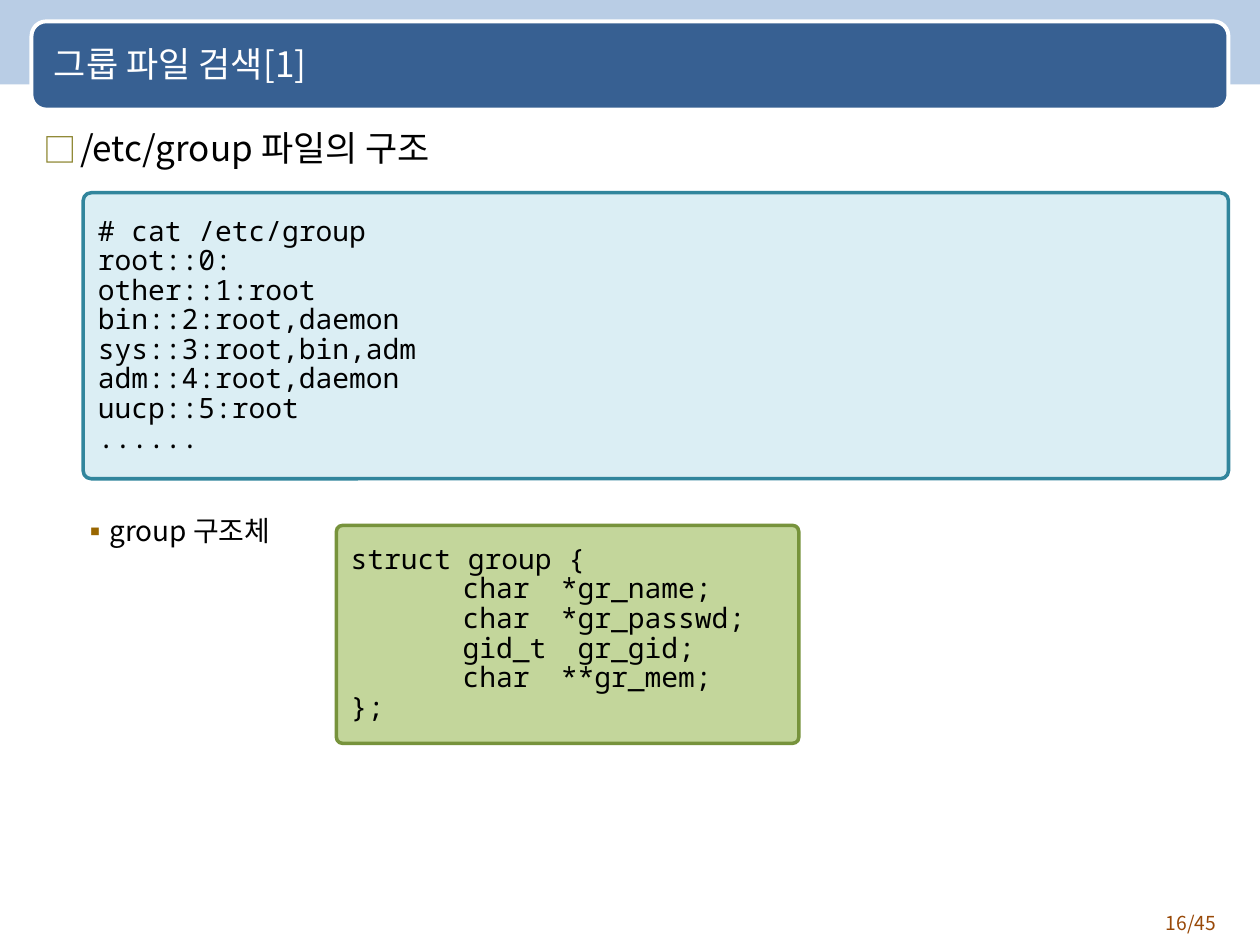
from lxml import etree
from pptx import Presentation
from pptx.dml.color import RGBColor
from pptx.enum.shapes import MSO_SHAPE
from pptx.enum.text import MSO_ANCHOR, PP_ALIGN
from pptx.oxml.ns import qn
from pptx.util import Inches, Pt

RECT, ROUNDED = MSO_SHAPE.RECTANGLE, MSO_SHAPE.ROUNDED_RECTANGLE
TOP, MIDDLE = MSO_ANCHOR.TOP, MSO_ANCHOR.MIDDLE
LEFT, RIGHT, JUSTIFY = PP_ALIGN.LEFT, PP_ALIGN.RIGHT, PP_ALIGN.JUSTIFY

SANS, MONO = "Noto Sans CJK KR", "Noto Sans Mono"
LINE_SPACING = 0.88
COLORS = {
    "white": "FFFFFF", "black": "000000", "band": "B9CDE5", "title": "376092",
    "page": "984807", "square": "888128", "dot": "996600",
    "file_fill": "DBEEF4", "file_line": "31859C",
    "struct_fill": "C3D69B", "struct_line": "77933C",
}

FILE_LINES = [
    "# cat /etc/group", "root::0:", "other::1:root", "bin::2:root,daemon",
    "sys::3:root,bin,adm", "adm::4:root,daemon", "uucp::5:root", "......",
]
STRUCT_LINES = [
    "struct group {", "\tchar\t*gr_name;", "\tchar\t*gr_passwd;",
    "\tgid_t\t gr_gid;", "\tchar\t**gr_mem;", "};",
]


def rgb(name):
    return RGBColor.from_string(COLORS[name])


def add_element(parent, tag, **attributes):
    return etree.SubElement(parent, qn(tag), attributes)


def add_panel(slide, box, kind, fill, line=None, width=0, radius=None):
    panel = slide.shapes.add_shape(kind, *map(Inches, box))
    panel.shadow.inherit = False
    panel.fill.solid()
    panel.fill.fore_color.rgb = rgb(fill)
    if line:
        panel.line.color.rgb = rgb(line)
        panel.line.width = Pt(width)
    else:
        panel.line.fill.background()
    if radius is not None:
        panel.adjustments[0] = radius
    return panel


def write_lines(shape, lines, size, color="black", font=SANS, align=LEFT,
                anchor=TOP, tabs=()):
    frame = shape.text_frame
    frame.word_wrap = True
    frame.vertical_anchor = anchor
    for index, text in enumerate(lines):
        para = frame.paragraphs[0] if index == 0 else frame.add_paragraph()
        para.alignment = align
        para.line_spacing = LINE_SPACING
        if tabs:
            stops = add_element(para._p.get_or_add_pPr(), "a:tabLst")
            for position in tabs:
                add_element(stops, "a:tab", pos=str(Inches(position)), algn="l")
        span = para.add_run()
        span.text = text
        for name, value in {"size": Pt(size), "name": font}.items():
            setattr(span.font, name, value)
        span.font.color.rgb = rgb(color)
        add_element(span._r.get_or_add_rPr(), "a:ea", typeface=font)


def add_label(slide, box, text, size, **style):
    label = slide.shapes.add_textbox(*map(Inches, box))
    write_lines(label, [text], size, **style)
    return label


def add_bullet_line(slide, box, text, size, mark, color, margin, hanging, scale=100):
    label = add_label(slide, box, text, size)
    props = label.text_frame.paragraphs[0]._p.get_or_add_pPr()
    props.set("marL", str(Inches(margin)))
    props.set("indent", str(-Inches(hanging)))
    add_element(add_element(props, "a:buClr"), "a:srgbClr", val=COLORS[color])
    add_element(props, "a:buSzPct", val=str(scale * 1000))
    add_element(props, "a:buFont", typeface=SANS)
    add_element(props, "a:buChar", char=mark)


def add_code_box(slide, box, lines, theme, **style):
    panel = add_panel(slide, box, ROUNDED, f"{theme}_fill", f"{theme}_line", 2, 0.028)
    write_lines(panel, lines, 16, font=MONO, anchor=MIDDLE, **style)


def add_header(slide, box, title):
    left, top, width, height = box
    add_panel(slide, (0, 0, 10, 0.67), RECT, "band")
    add_panel(slide, box, ROUNDED, "title", "white", 2.25, 0.167)
    add_label(slide, (left + 0.08, top + 0.02, width - 0.25, height - 0.03),
              title, 20, color="white", anchor=MIDDLE)


def add_body(slide, box):
    left, top, width, _ = box
    # File listing
    add_bullet_line(slide, (left, top, width, 0.45), "/etc/group 파일의 구조",
                    20, "□", "square", 0.29, 0.29, 95)
    add_code_box(slide, (left + 0.41, top + 0.53, width - 0.41, 2.27),
                 FILE_LINES, "file", align=JUSTIFY)
    # Structure definition
    add_bullet_line(slide, (left, top + 3.06, 2.4, 0.4), "group 구조체",
                    16, "▪", "dot", 0.49, 0.19)
    add_code_box(slide, (left + 2.42, top + 3.17, 3.67, 1.73),
                 STRUCT_LINES, "struct", tabs=(0.89, 1.67))


def main():
    deck = Presentation()
    deck.slide_width, deck.slide_height = Inches(10), Inches(7.5)
    slide = deck.slides.add_slide(deck.slide_layouts[6])
    add_header(slide, (0.25, 0.17, 9.5, 0.7), "그룹 파일 검색[1]")
    add_body(slide, (0.25, 1, 9.5, 6.25))
    # Page number
    add_label(slide, (8.92, 7.21, 0.83, 0.29), "16/45", 11, color="page", align=RIGHT)
    deck.save("out.pptx")


if __name__ == "__main__":
    main()
